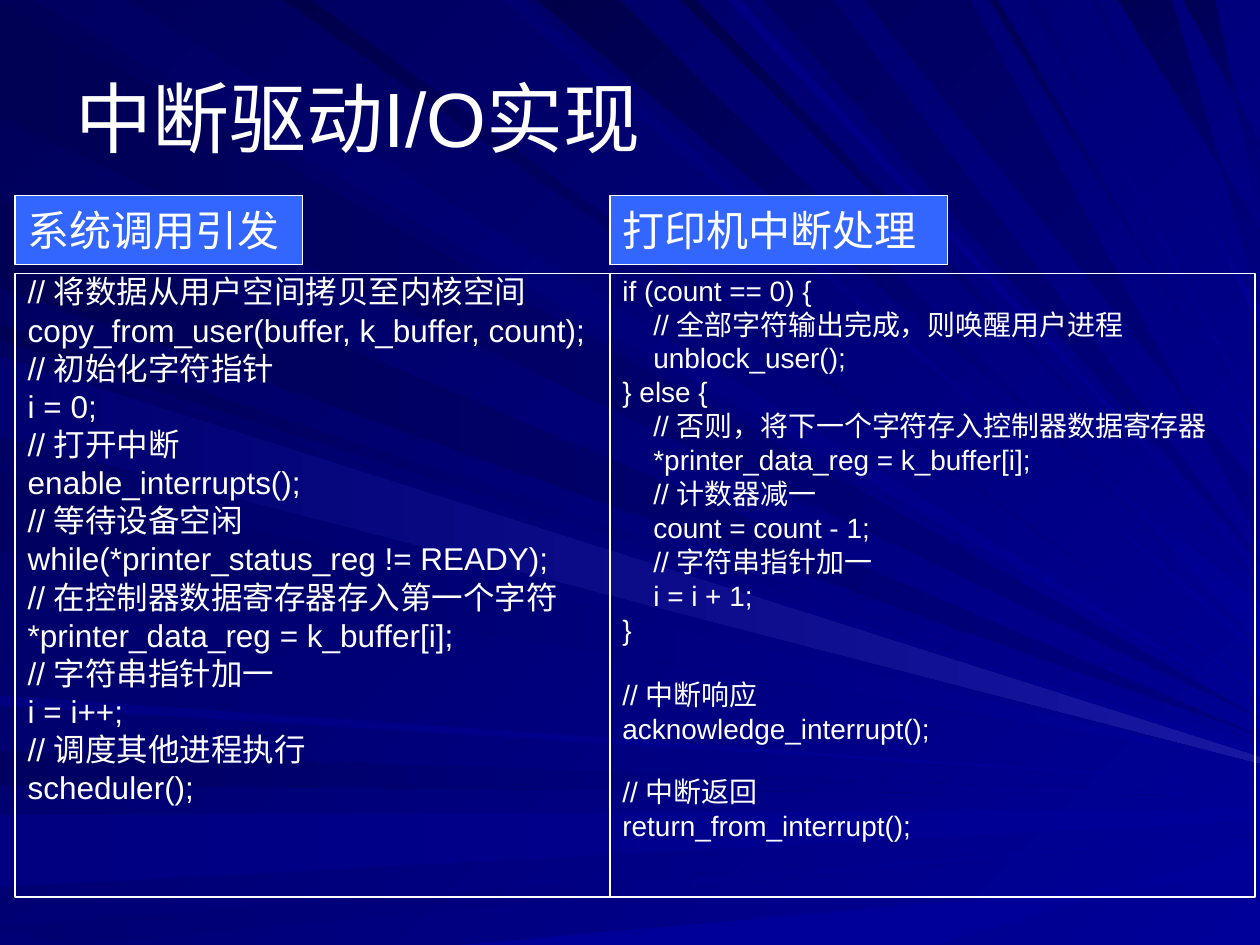
import pptx
import pptx.dml.color
import pptx.enum.shapes
import pptx.enum.text
import pptx.oxml
import pptx.util

Pt = pptx.util.Pt
WHITE = "FFFFFF"
GRID_UNIT = 0.72
GRID_WIDTH, GRID_HEIGHT = 1000, 750

NIGHT, DEEP, DIM, SOFT = "00004A", "000055", "000060", "000070"
NAVY, BLUE, GLOW = "000080", "000099", "1717A2"

RAYS = [
    (DEEP, NAVY, -2, -93, 570),
    (DIM, BLUE, 26, 101, 562),
    (DIM, BLUE, -596, -623, 631),
    (NAVY, BLUE, -647, -704, 643, 651),
    (SOFT, BLUE, -735, -804, 662),
    (BLUE, BLUE, -1114, -1492, 694, 672),
    (DEEP, BLUE, -258, -270, 589),
    (DEEP, NAVY, -159, -228, 584),
    (SOFT, BLUE, 398, 416, 515, 521),
    (NIGHT, BLUE, 426, 492, 479, 507),
    (NIGHT, BLUE, 540, 552, 463),
    (DIM, NAVY, 606, 661, 445),
    (DEEP, NAVY, 887, 930, 183, 237),
    (DEEP, NAVY, 939, 964, 114, 167),
    (DIM, BLUE, -278, -342, 596, 602),
    (DIM, BLUE, -374, -437, 605),
    (NAVY, BLUE, -552, -560, 622),
    (NIGHT, BLUE, 225, 247, 547, 552),
    (NAVY, BLUE, 577, 588, 453),
    (DIM, NAVY, 686, 770, 390, 428),
    (DEEP, BLUE, 785, 792, 354, 360),
    (SOFT, BLUE, 815, 824, 335),
    (SOFT, BLUE, 865, 872, 249, 258),
    (SOFT, GLOW, -283, -347, 601, 606),
]

SYSTEM_CALL_CODE = [
    "// 将数据从用户空间拷贝至内核空间",
    "copy_from_user(buffer, k_buffer, count);",
    "// 初始化字符指针",
    "i = 0;",
    "// 打开中断",
    "enable_interrupts();",
    "// 等待设备空闲",
    "while(*printer_status_reg != READY);",
    "// 在控制器数据寄存器存入第一个字符",
    "*printer_data_reg = k_buffer[i];",
    "// 字符串指针加一",
    "i = i++;",
    "// 调度其他进程执行",
    "scheduler();",
]

INTERRUPT_CODE = [
    "if (count == 0) {",
    "    // 全部字符输出完成，则唤醒用户进程",
    "    unblock_user();",
    "} else {",
    "    // 否则，将下一个字符存入控制器数据寄存器",
    "    *printer_data_reg = k_buffer[i];",
    "    // 计数器减一",
    "    count = count - 1;",
    "    // 字符串指针加一",
    "    i = i + 1;",
    "}",
    "// 中断响应",
    "acknowledge_interrupt();",
    "// 中断返回",
    "return_from_interrupt();",
]
INTERRUPT_GAPS = {"// 中断响应": 22.3, "// 中断返回": 20.6}


def color(value):
    """Turn a hex string into a colour."""
    return pptx.dml.color.RGBColor.from_string(value)


def paint(fill, first, last, angle=0):
    """Fill with one colour, or with a gradient at a clockwise angle."""
    if first == last:
        fill.solid()
        fill.fore_color.rgb = color(first)
        return
    fill.gradient()
    fill.gradient_angle = (360 - angle) % 360
    for stop, value in zip(fill.gradient_stops, (first, last)):
        stop.color.rgb = color(value)


def place(shape, box):
    """Move a shape to a box of left, top, width and height."""
    shape.left, shape.top, shape.width, shape.height = (Pt(length) for length in box)


def outline(shape):
    """Draw a thin white border."""
    shape.line.color.rgb = color(WHITE)
    shape.line.width = Pt(0.75)


def write(para, text, size):
    """Add one white, left-aligned run."""
    para.alignment = pptx.enum.text.PP_ALIGN.LEFT
    span = para.add_run()
    span.text = text
    span.font.name = "Arial"
    span.font.size = Pt(size)
    span.font.color.rgb = color(WHITE)


def edge_point(distance):
    """Find a point right along the top edge, or, if negative, down the left and along the bottom."""
    if distance >= 0:
        return distance, 0
    return max(0, -distance - GRID_HEIGHT), min(GRID_HEIGHT, -distance)


def add_rays(page):
    """Draw light rays that run from the edges to the right side, behind the content."""
    group = page.shapes.add_group_shape()
    for first, last, start, finish, *heights in RAYS:
        corners = [edge_point(finish), *((GRID_WIDTH, height) for height in reversed(heights))]
        builder = group.shapes.build_freeform(*edge_point(start), scale=Pt(GRID_UNIT))
        builder.add_line_segments(corners, close=True)
        ray = builder.convert_to_shape()
        paint(ray.fill, first, last, 45 if start > 0 else 0)
        ray.line.fill.background()
        ray.shadow.inherit = False
    page.shapes.title.element.addprevious(group.element)


def add_title(page, box, text):
    """Fill the title placeholder."""
    title = page.shapes.title
    place(title, box)
    title.text_frame.auto_size = pptx.enum.text.MSO_AUTO_SIZE.NONE
    title.text_frame.vertical_anchor = pptx.enum.text.MSO_ANCHOR.MIDDLE
    write(title.text_frame.paragraphs[0], text, 44)


def add_label(page, box, text):
    """Add a blue heading above a code panel."""
    lengths = (Pt(length) for length in box)
    label = page.shapes.add_shape(pptx.enum.shapes.MSO_SHAPE.RECTANGLE, *lengths)
    paint(label.fill, "3366FF", "3366FF")
    outline(label)
    label.shadow.inherit = False
    label.text_frame.word_wrap = True
    label.text_frame.vertical_anchor = pptx.enum.text.MSO_ANCHOR.MIDDLE
    write(label.text_frame.paragraphs[0], text, 24)


def add_code(panel, box, lines, size, gaps):
    """Fill a body placeholder with code, with wider gaps before some lines."""
    place(panel, box)
    outline(panel)
    frame = panel.text_frame
    frame.auto_size = pptx.enum.text.MSO_AUTO_SIZE.NONE
    for index, line in enumerate(lines):
        para = frame.add_paragraph() if index else frame.paragraphs[0]
        para.line_spacing = 0.8
        para.space_before = Pt(gaps.get(line, size / 4) if index else 0)
        properties = para._p.get_or_add_pPr()
        properties.set("marL", str(Pt(27)))
        properties.set("indent", str(Pt(-27)))
        properties.append(pptx.oxml.parse_xml(
            '<a:buNone xmlns:a="http://schemas.openxmlformats.org/drawingml/2006/main"/>'))
        write(para, line, size)


def main():
    """Build and save the slide."""
    deck = pptx.Presentation()
    deck.slide_width, deck.slide_height = Pt(720), Pt(540)
    page = deck.slides.add_slide(deck.slide_layouts.get_by_name("Two Content"))
    paint(page.background.fill, "000058", BLUE, 45)
    add_rays(page)
    add_title(page, (36, 21.6, 648, 90), "中断驱动I/O实现")
    columns = [
        (8.64, 339.84, "系统调用引发", 164.16, SYSTEM_CALL_CODE, 18, {}),
        (348.48, 368.64, "打印机中断处理", 192.96, INTERRUPT_CODE, 16, INTERRUPT_GAPS),
    ]
    for index, (left, width, heading, label_width, lines, size, gaps) in enumerate(columns, 1):
        add_code(page.placeholders[index], (left, 156.24, width, 356.4), lines, size, gaps)
        add_label(page, (left, 111.6, label_width, 39.6), heading)
    deck.save("out.pptx")


if __name__ == "__main__":
    main()
